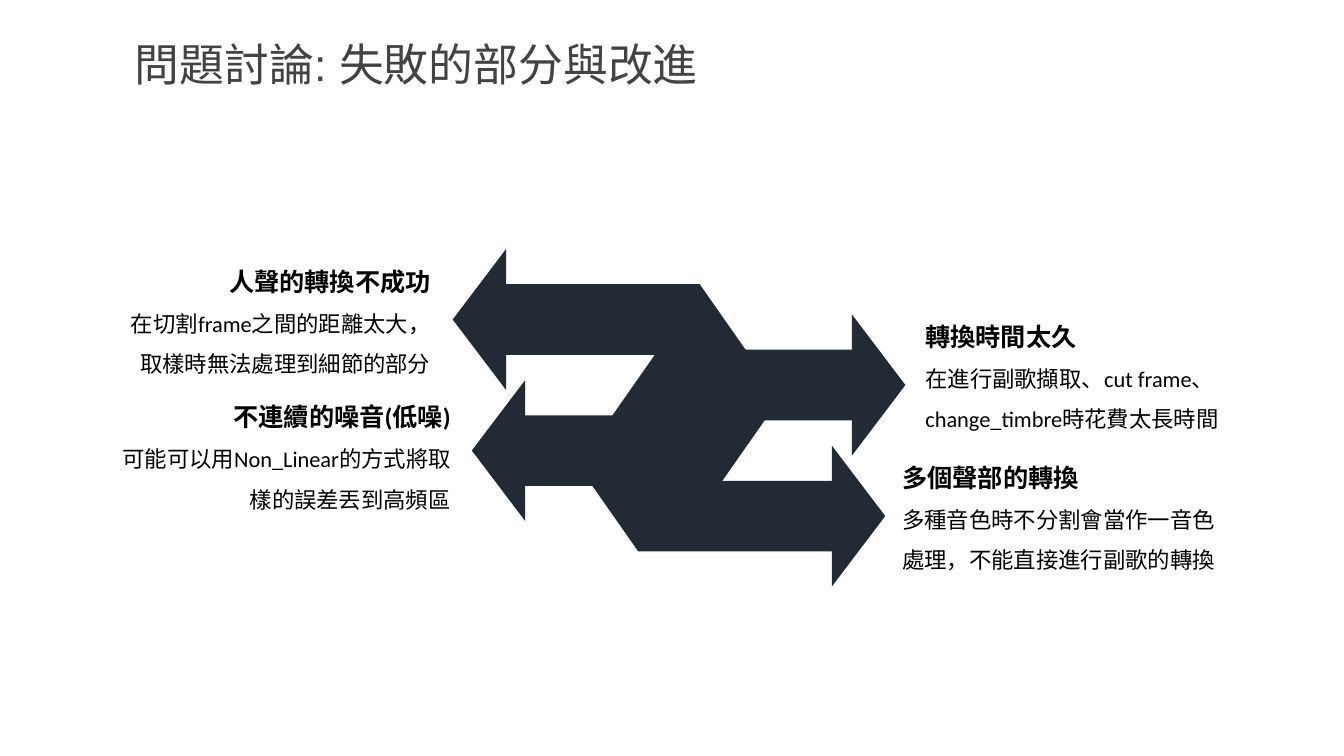
from dataclasses import dataclass

from pptx import Presentation
from pptx import util as u
from pptx.dml.color import RGBColor
from pptx.enum import text as t


@dataclass(frozen=True)
class Theme:
    title: str = "444243"
    ink: str = "000000"
    arrow: str = "222A35"
    title_size: int = 32
    head_size: int = 18
    body_size: int = 16
    title_font: str = "Arial"
    body_font: str = "Calibri"


THEME = Theme()
TITLE = "問題討論: 失敗的部分與改進"

# Box (left, top, width, height), alignment, heading and body lines
NOTES = [
    ((1.01, 2.44, 3.36, 1.36), t.PP_ALIGN.RIGHT,
     ["人聲的轉換不成功", "在切割frame之間的距離太大，", "取樣時無法處理到細節的部分"]),
    ((9.08, 3.05, 3.46, 1.23), t.PP_ALIGN.LEFT,
     ["轉換時間太久", "在進行副歌擷取、cut frame、change_timbre時花費太長時間"]),
    ((1.11, 3.78, 3.46, 1.36), t.PP_ALIGN.RIGHT,
     ["不連續的噪音(低噪)", "可能可以用Non_Linear的方式將取樣的誤差丟到高頻區"]),
    ((8.85, 4.38, 3.46, 1.36), t.PP_ALIGN.LEFT,
     ["多個聲部的轉換", "多種音色時不分割會當作一音色處理，不能直接進行副歌的轉換"]),
]

# Tip x, direction from tip to tail, side of the longer edge (1 is below)
ARROWS = [(4.49, 1, 1), (8.98, -1, 1), (4.68, 1, -1), (8.78, -1, -1)]
FIRST_TIP, TIP_STEP = 3.17, 0.65
HEAD, LONG, SHORT = 0.53, 2.94, 2.45
WING, HALF = 0.7, 0.35


def assign(item, values):
    for name, value in values.items():
        setattr(item, name, value)


def style(font, face, size, color, bold=False):
    assign(font, {"name": face, "size": u.Pt(size), "bold": bold})
    font.color.rgb = RGBColor.from_string(color)


def frame(box, pad_x, pad_y):
    """Set the margins, anchor and fit of a text shape and return its frame."""
    assign(box.text_frame, {
        "word_wrap": True,
        "auto_size": t.MSO_AUTO_SIZE.SHAPE_TO_FIT_TEXT,
        "vertical_anchor": t.MSO_ANCHOR.MIDDLE,
        "margin_left": u.Inches(pad_x), "margin_right": u.Inches(pad_x),
        "margin_top": u.Inches(pad_y), "margin_bottom": u.Inches(pad_y),
    })
    return box.text_frame


def add_title(slide):
    title = slide.shapes.title
    assign(title, {"left": u.Inches(1.18), "top": u.Inches(0.36),
                   "width": u.Inches(5.9), "height": u.Inches(0.54)})
    para = frame(title, 0, 0).paragraphs[0]
    assign(para, {"text": TITLE, "alignment": t.PP_ALIGN.CENTER})
    style(para.font, THEME.title_font, THEME.title_size, THEME.title)


def add_arrow(slide, x, y, way, side):
    """Draw an arrow with its tip at x, y and a slanted tail."""
    edges = [(HEAD, -WING), (HEAD, -HALF), (SHORT, -HALF),
             (LONG, HALF), (HEAD, HALF), (HEAD, WING)]
    points = [(u.Inches(x + way * dx), u.Inches(y + side * dy))
              for dx, dy in edges]
    pen = slide.shapes.build_freeform(u.Inches(x), u.Inches(y))
    pen.add_line_segments(points, close=True)
    arrow = pen.convert_to_shape()
    arrow.shadow.inherit = False
    arrow.fill.solid()
    arrow.fill.fore_color.rgb = RGBColor.from_string(THEME.arrow)
    arrow.line.fill.background()


def add_note(slide, place, align, lines):
    box = slide.shapes.add_textbox(*map(u.Inches, place))
    body = frame(box, 0.1, 0.05)
    for i, line in enumerate(lines):
        para = body.add_paragraph() if i else body.paragraphs[0]
        assign(para, {"text": line, "alignment": align, "line_spacing": 1.5})
        size = THEME.body_size if i else THEME.head_size
        style(para.font, THEME.body_font, size, THEME.ink, bold=i == 0)


def main():
    deck = Presentation()
    assign(deck, {"slide_width": u.Inches(13.33),
                  "slide_height": u.Inches(7.5)})
    slide = deck.slides.add_slide(deck.slide_layouts.get_by_name("Title Only"))
    add_title(slide)
    for i, (x, way, side) in enumerate(ARROWS):
        add_arrow(slide, x, FIRST_TIP + i * TIP_STEP, way, side)
    for note in NOTES:
        add_note(slide, *note)
    deck.save("out.pptx")


if __name__ == "__main__":
    main()
